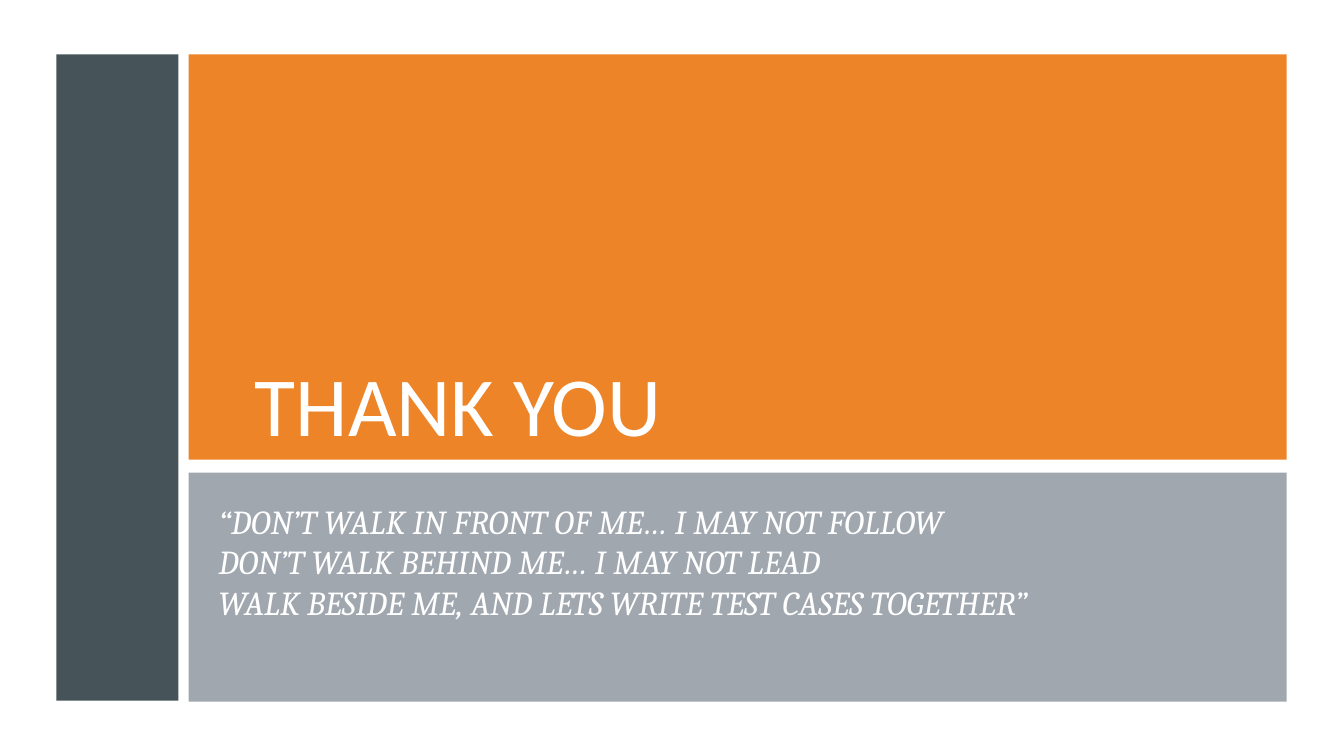
"""Build the closing slide with a thank-you title and a quote."""
from lxml import etree
from pptx import Presentation
from pptx.dml.color import RGBColor
from pptx.enum import shapes, text
from pptx.oxml.ns import qn
from pptx.util import Inches, Pt

WHITE = "FFFFFF"
PANELS = [
    ((0.56, 0.54, 1.21, 6.41), "465359", 100),
    ((1.87, 0.54, 10.89, 4.02), "ED8428", 100),
    ((1.87, 4.69, 10.89, 2.27), "89929B", 80),
]
QUOTE = [
    "“DON’T WALK IN FRONT OF ME… I MAY NOT FOLLOW",
    "DON’T WALK BEHIND ME… I MAY NOT LEAD",
    "WALK BESIDE ME, AND LETS WRITE TEST CASES TOGETHER”",
]
TEXTS = [
    ((2.43, 2.18, 8.28, 3.64), ["THANK YOU"], "Calibri", 60, False,
     text.MSO_ANCHOR.MIDDLE),
    ((2.07, 4.92, 10.46, 1.79), QUOTE, "Cambria", 24, True,
     text.MSO_ANCHOR.TOP),
]


def paint(color, code):
    color.rgb = RGBColor.from_string(code)


def add_panel(slide, box, code, opaque):
    panel = slide.shapes.add_shape(
        shapes.MSO_SHAPE.RECTANGLE, *map(Inches, box))
    panel.shadow.inherit = False
    panel.line.fill.background()
    panel.fill.solid()
    paint(panel.fill.fore_color, code)
    if opaque < 100:
        tone = panel.fill._xPr.find(".//" + qn("a:srgbClr"))
        etree.SubElement(tone, qn("a:alpha"), val=str(opaque * 1000))


def add_text(slide, box, lines, face, size, slant, anchor):
    frame = slide.shapes.add_textbox(*map(Inches, box)).text_frame
    frame.word_wrap = True
    frame.vertical_anchor = anchor
    para = frame.paragraphs[0]
    para.text = "\v".join(lines)
    font = para.font
    font.name, font.size, font.italic = face, Pt(size), slant
    paint(font.color, WHITE)


def main():
    deck = Presentation()
    deck.slide_width, deck.slide_height = Inches(13.33), Inches(7.5)
    slide = deck.slides.add_slide(deck.slide_layouts[6])
    slide.background.fill.solid()
    paint(slide.background.fill.fore_color, WHITE)
    for panel in PANELS:
        add_panel(slide, *panel)
    for item in TEXTS:
        add_text(slide, *item)
    deck.save("out.pptx")


if __name__ == "__main__":
    main()
